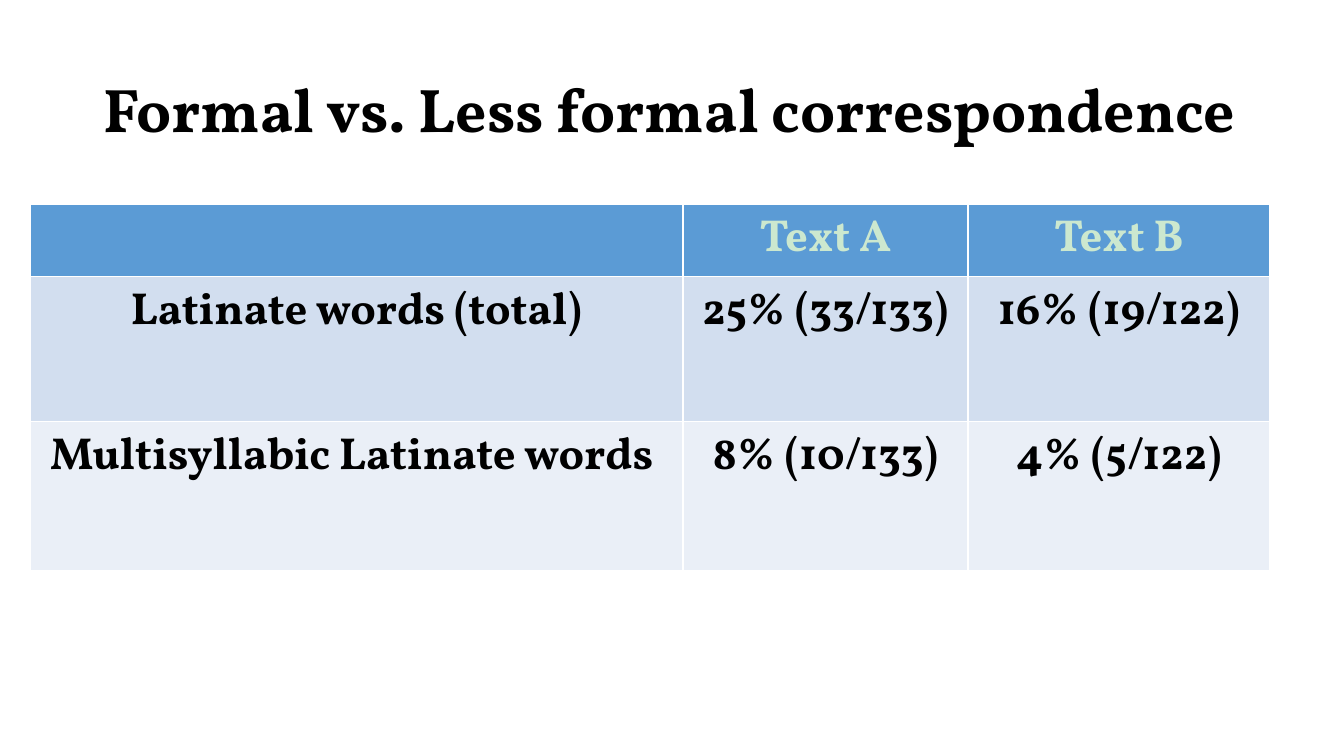
from lxml import etree
from pptx import Presentation, util as u
from pptx.dml.color import RGBColor
from pptx.enum import text
from pptx.oxml.ns import qn

TITLE = "Formal vs. Less formal correspondence"
ROWS = [
    ("", "Text A", "Text B"),
    ("Latinate words (total)", "25% (33/133)", "16% (19/122)"),
    ("Multisyllabic Latinate words ", "8% (10/133)", "4% (5/122)"),
]
ROW_STYLES = [("5B9BD5", "CCE8CF"), ("D2DEEF", "000000"), ("EAEFF7", "000000")]
BACKGROUND = BORDER = "FFFFFF"

SLIDE = (1344, 756)
TITLE_BOX = (93, 40, 1159, 146)
TABLE_AT = (30, 204)
COL_WIDTHS = (653, 285, 302)
ROW_HEIGHTS = (66, 145, 149)
EMU_PER_PX = 914400 / 100.8


def px(n):
    return u.Emu(round(n * EMU_PER_PX))


def rgb(value):
    return RGBColor.from_string(value)


def fill(target, color):
    target.fill.solid()
    target.fill.fore_color.rgb = rgb(color)


def write(tf, content, size, color, align):
    p = tf.paragraphs[0]
    p.alignment = align
    if content:
        r = p.add_run()
        r.text = content
        fmt = {"name": "Vollkorn", "size": u.Pt(size), "bold": True}
        for key, value in fmt.items():
            setattr(r.font, key, value)
        r.font.color.rgb = rgb(color)
    return p


def outline(cell, color):
    """Draw a 1 pt line on all four sides; the lines precede the cell's fill."""
    tc_pr = cell._tc.get_or_add_tcPr()
    for i, side in enumerate(("lnL", "lnR", "lnT", "lnB")):
        ln = etree.Element(qn(f"a:{side}"), w=str(u.Pt(1)))
        solid = etree.SubElement(ln, qn("a:solidFill"))
        etree.SubElement(solid, qn("a:srgbClr"), val=color)
        tc_pr.insert(i, ln)


def add_title(s):
    title = s.shapes.title
    title.left, title.top, title.width, title.height = map(px, TITLE_BOX)
    tf = title.text_frame
    tf.auto_size = text.MSO_AUTO_SIZE.NONE
    tf.vertical_anchor = text.MSO_ANCHOR.MIDDLE
    p = write(tf, TITLE, 44, "000000", text.PP_ALIGN.LEFT)
    p.line_spacing = 0.9


def add_word_table(s):
    box = (*TABLE_AT, sum(COL_WIDTHS), sum(ROW_HEIGHTS))
    table = s.shapes.add_table(len(ROWS), len(COL_WIDTHS), *map(px, box)).table
    for col, width in zip(table.columns, COL_WIDTHS):
        col.width = px(width)
    for row, height, values, (back, ink) in zip(
            table.rows, ROW_HEIGHTS, ROWS, ROW_STYLES):
        row.height = px(height)
        for cell, value in zip(row.cells, values):
            fill(cell, back)
            outline(cell, BORDER)
            write(cell.text_frame, value, 32, ink, text.PP_ALIGN.CENTER)


def main():
    prs = Presentation()
    prs.slide_width, prs.slide_height = map(px, SLIDE)
    s = prs.slides.add_slide(prs.slide_layouts[5])
    fill(s.background, BACKGROUND)
    add_title(s)
    add_word_table(s)
    prs.save("out.pptx")


if __name__ == "__main__":
    main()
